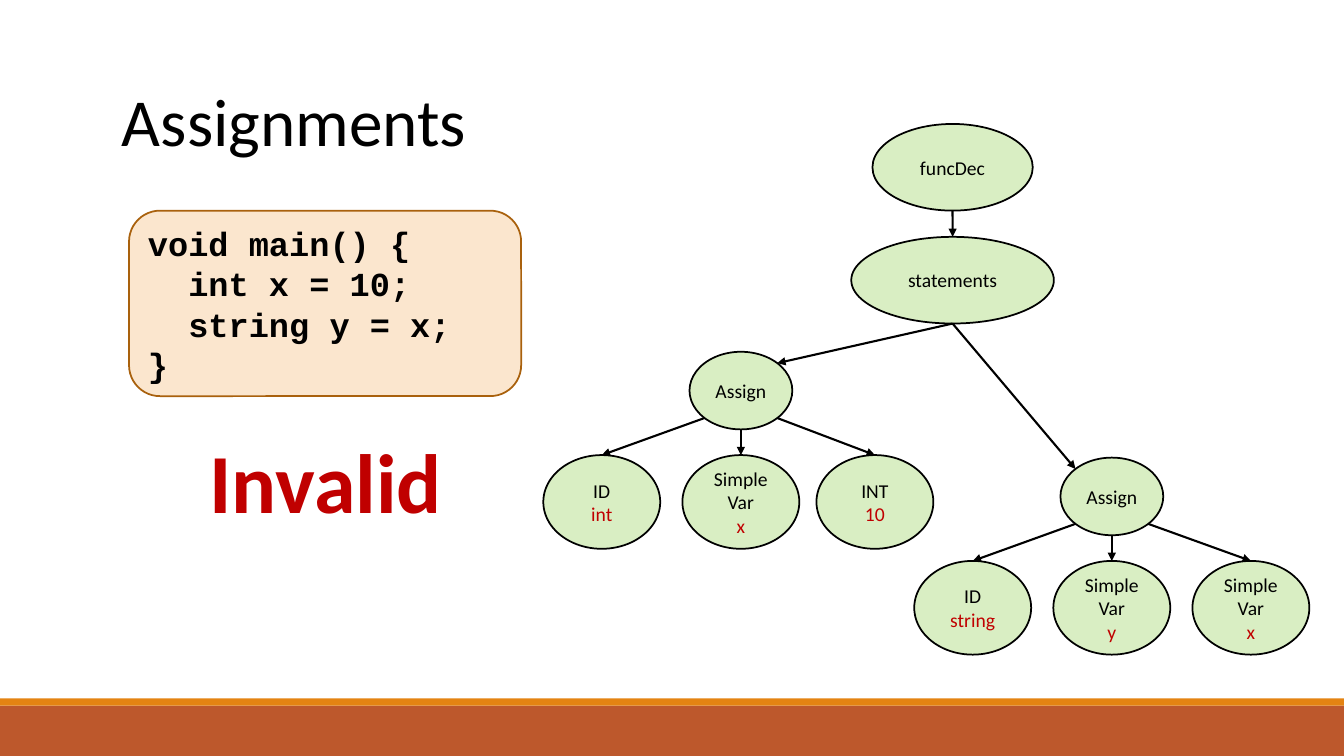
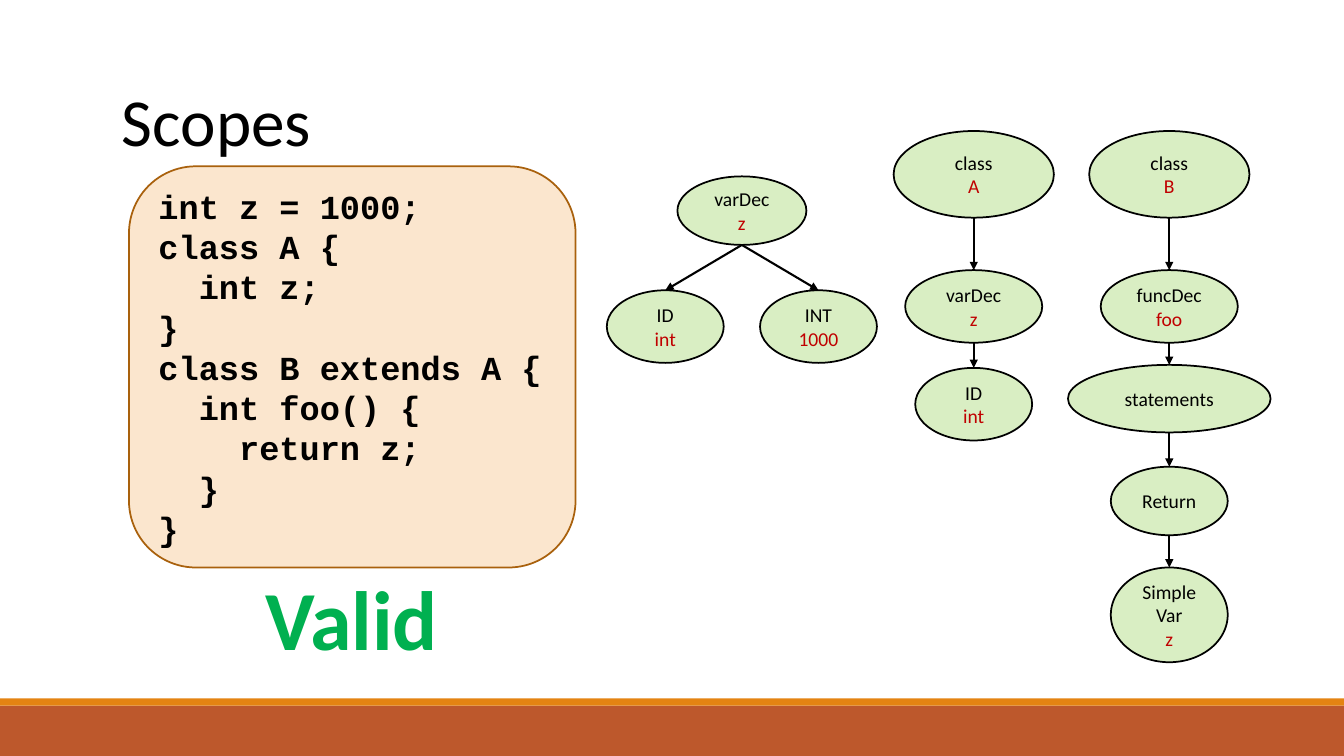
from math import cos, radians, sin

from lxml.etree import SubElement
from pptx import Presentation
from pptx.dml.color import RGBColor
from pptx.enum.shapes import MSO_CONNECTOR, MSO_SHAPE
from pptx.enum.text import MSO_ANCHOR, MSO_AUTO_SIZE, PP_ALIGN
from pptx.oxml.ns import qn
from pptx.util import Inches, Pt

COLS, ROWS = 133.33, 75
BLACK, RED, GREEN = "000000", "C00000", "00B050"
LEAF, CREAM, BROWN = "92D050", "FBE6CE", "A9610D"
RUST, ORANGE = "BD582C", "E48312"
TOP, BASE_LEFT, BASE, BASE_RIGHT, TOP_RIGHT = 0, 3, 4, 5, 7


def grid(*cells):
    """Turn columns and rows, ten to the inch, into lengths."""
    return [Inches(cell / 10) for cell in cells]


def color(target, code):
    """Colour a fill or a font with a hex string."""
    if hasattr(target, "solid"):
        target.solid()
        target.fore_color.rgb = RGBColor.from_string(code)
    else:
        target.color.rgb = RGBColor.from_string(code)


def style(para, size, code=BLACK, name="Calibri", bold=False, align=PP_ALIGN.LEFT):
    """Set the font and alignment of a paragraph."""
    para.alignment = align
    para.font.size, para.font.name, para.font.bold = Pt(size), name, bold
    color(para.font, code)


def shape(slide, kind, box, fill, line=None):
    """Add a flat preset shape in the given box."""
    item = slide.shapes.add_shape(kind, *grid(*box))
    item.shadow.inherit = False
    color(item.fill, fill)
    if line:
        color(item.line.fill, line)
        item.line.width = Pt(1.25)
    else:
        item.line.fill.background()
    return item


def bands(slide, master):
    """Draw the footer bands and hand them to the master."""
    rows = [(70, 5, RUST), (69.3, 0.7, ORANGE)]
    for index, (top, height, fill) in enumerate(rows):
        band = shape(slide, MSO_SHAPE.RECTANGLE, (0, top, COLS, height), fill)
        band._element.nvSpPr.cNvPr.set("id", str(100 + index))
        master.shapes._spTree.insert(2 + index, band._element)


def panel(slide, box, code):
    """Show a code listing in a rounded box."""
    frame = shape(slide, MSO_SHAPE.ROUNDED_RECTANGLE, box, CREAM, BROWN).text_frame
    frame.vertical_anchor = MSO_ANCHOR.MIDDLE
    frame.text = code
    for para in frame.paragraphs:
        style(para, 24, name="Courier New", bold=True)


def verdict(slide, x, y, text, code):
    """Write the large verdict under the code."""
    frame = slide.shapes.add_textbox(*grid(x, y, 30.6, 11.1)).text_frame
    frame.word_wrap = True
    frame.text = text
    style(frame.paragraphs[0], 60, code, bold=True, align=PP_ALIGN.CENTER)


def node(slide, x, y, label, value, width, height):
    """Add a tree node centred on column x with its top at row y."""
    box = (x - width / 2, y, width, height)
    oval = shape(slide, MSO_SHAPE.OVAL, box, LEAF, BLACK)
    tint = oval._element.spPr.find(qn("a:solidFill"))[0]
    SubElement(tint, qn("a:alpha"), val="34000")
    frame = oval.text_frame
    frame.margin_left = frame.margin_right = 0
    frame.vertical_anchor = MSO_ANCHOR.MIDDLE
    frame.text = f"{label}\n{value}" if value else label
    for para in frame.paragraphs:
        style(para, 14, align=PP_ALIGN.CENTER)
    if value:
        color(frame.paragraphs[-1].font, RED)
    return oval


def point(oval, site):
    """Locate one of the eight sites, counted leftwards from the top."""
    turn = radians(45 * site)
    return (
        round(oval.left + oval.width * (1 - sin(turn)) / 2),
        round(oval.top + oval.height * (1 - cos(turn)) / 2),
    )


def link(slide, start, end, leave=BASE, enter=TOP):
    """Join two nodes with an arrow."""
    ends = point(start, leave) + point(end, enter)
    arrow = slide.shapes.add_connector(MSO_CONNECTOR.STRAIGHT, *ends)
    color(arrow.line.fill, BLACK)
    arrow.line.width = Pt(1.5)
    SubElement(arrow.line._get_or_add_ln(), qn("a:tailEnd"), type="triangle")
    SubElement(arrow._element.spPr, qn("a:effectLst"))
    joint = arrow._element.nvCxnSpPr.cNvCxnSpPr
    for tag, oval, site in (("a:stCxn", start, leave), ("a:endCxn", end, enter)):
        SubElement(joint, qn(tag), id=str(oval.shape_id), idx=str(site))


def chain(slide, x, y, items):
    """Stack linked nodes below (x, y) and return the last one."""
    last = None
    for drop, *parts in items:
        oval = node(slide, x, y + drop, *parts)
        if last:
            link(slide, last, oval)
        last = oval
    return last


def fork(slide, x, y, root, drop, height, leaves):
    """Draw a root at (x, y) with a row of leaves and return the root."""
    trunk = node(slide, x, y, *root)
    for shift, leave, label, value in leaves:
        leaf = node(slide, x + shift, y + drop, label, value, 11.6, height)
        link(slide, trunk, leaf, leave)
    return trunk


def assign(slide, x, y, leaves):
    """Draw an Assign node over three leaves."""
    sites = (BASE_LEFT, BASE, BASE_RIGHT)
    kids = [(shift, site, *text) for site, (shift, *text) in zip(sites, leaves)]
    return fork(slide, x, y, ("Assign", "", 10.2, 7.7), 10.25, 9.3, kids)


def start(deck, layout, title):
    """Add a slide with its title."""
    slide = deck.slides.add_slide(layout)
    frame = slide.shapes.title.text_frame
    frame.text = title
    frame.auto_size = MSO_AUTO_SIZE.NONE
    style(frame.paragraphs[0], 48)
    return slide


def types(slide):
    """Fill the slide on assignments."""
    code = "void main() {\n  int x = 10;\n  string y = x;\n}"
    panel(slide, (12.8, 20.9, 38.9, 18.4), code)
    verdict(slide, 17, 42.1, "Invalid", RED)
    stem = [(0, "funcDec", "", 15.9, 8.6), (11.2, "statements", "", 20.1, 8.6)]
    body = chain(slide, 94.5, 12.3, stem)
    left = [(-13.8, "ID", "int"), (0, "Simple\nVar", "x"), (13.3, "INT", "10")]
    right = [
        (-13.8, "ID", "string"),
        (0, "Simple\nVar", "y"),
        (13.8, "Simple\nVar", "x"),
    ]
    link(slide, body, assign(slide, 73.5, 34.9, left), enter=TOP_RIGHT)
    link(slide, body, assign(slide, 110.3, 45.4, right), enter=1)


def scopes(slide):
    """Fill the slide on scopes."""
    code = (
        "int z = 1000;\nclass A {\n  int z;\n}\nclass B extends A {\n"
        "  int foo() {\n    return z;\n  }\n}"
    )
    panel(slide, (12.8, 16.5, 44.3, 39.8), code)
    verdict(slide, 19.6, 55.7, "Valid", GREEN)
    leaves = [(-7.6, BASE, "ID", "int"), (7.6, BASE, "INT", "1000")]
    fork(slide, 73.6, 17.5, ("varDec", "z", 12.8, 6.8), 11.3, 7.2, leaves)
    first = [
        (0, "class", "A", 15.9, 8.6),
        (13.8, "varDec", "z", 13.6, 7.2),
        (23.5, "ID", "int", 11.6, 7.2),
    ]
    second = [
        (0, "class", "B", 15.9, 8.6),
        (13.8, "funcDec", "foo", 13.6, 7.2),
        (23.2, "statements", "", 20.1, 6.7),
        (33.3, "Return", "", 11.6, 6.8),
        (43.3, "Simple\nVar", "z", 11.6, 9.4),
    ]
    for x, items in ((96.6, first), (116, second)):
        chain(slide, x, 13, items)


def main():
    """Build and save the deck."""
    deck = Presentation()
    deck.slide_width, deck.slide_height = grid(COLS, ROWS)
    layout = deck.slide_layouts[5]
    head = layout.placeholders[0]
    head.left, head.top, head.width, head.height = grid(11.1, 7.3, 110.9, 9.1)
    slide = start(deck, layout, "Assignments")
    bands(slide, deck.slide_master)
    types(slide)
    scopes(start(deck, layout, "Scopes"))
    deck.save("out.pptx")


if __name__ == "__main__":
    main()
